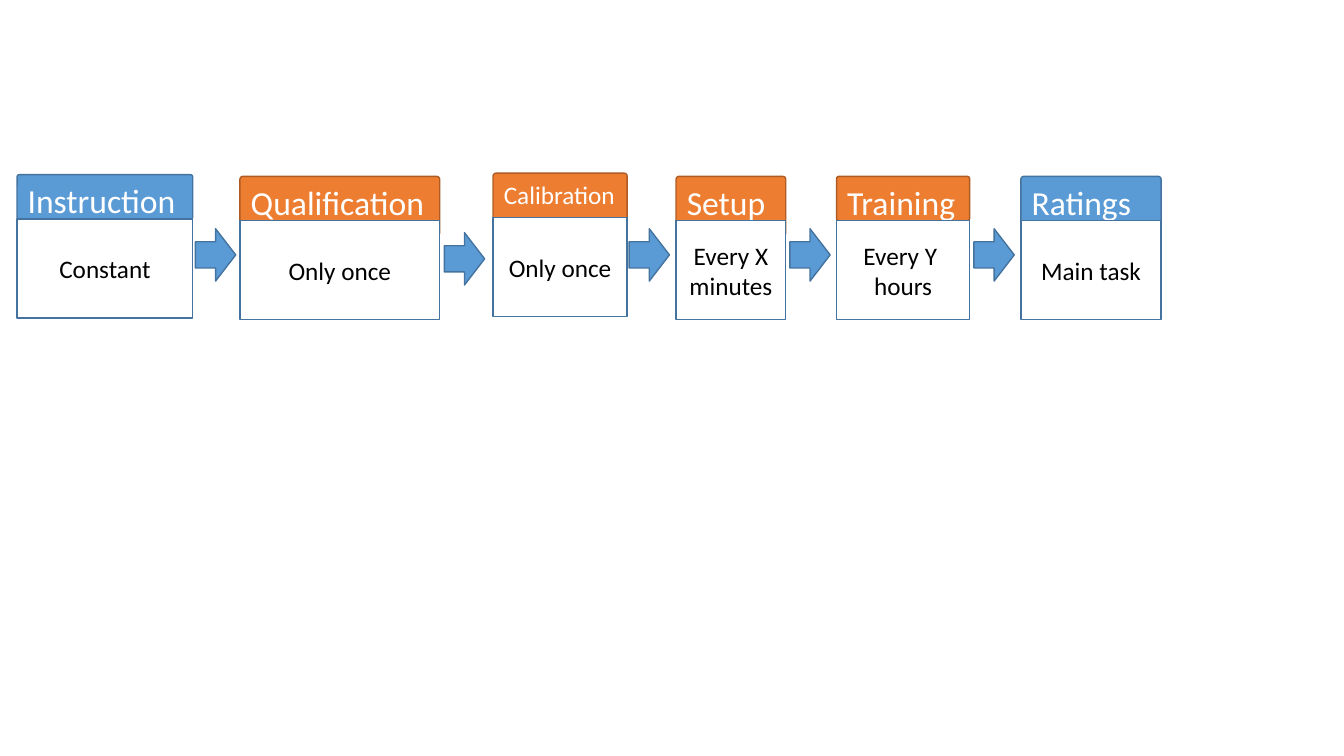
from dataclasses import dataclass

from pptx import Presentation
from pptx.dml.color import RGBColor
from pptx.enum import shapes, text
from pptx.util import Pt

BLUE, NAVY = "5B9BD5", "43739E"
ORANGE, RUST = "ED7D31", "AF5C24"
WHITE, BLACK = "FFFFFF", "000000"
SHORT, TALL = 31.7, 42.4
BODY = 70.6
ARROW = 28.8, 37.4


@dataclass
class Step:
    name: str
    note: list[str]
    left: float
    top: float
    width: float
    head: float = TALL
    fill: str = ORANGE
    line: str = RUST
    size: int = 24


@dataclass
class Arrow:
    left: float
    top: float = 163.4


def color(code: str) -> RGBColor:
    return RGBColor.from_string(code)


def draw(kind, left: float, top: float, width: float, height: float, fill: str, line: str):
    shape = slide.shapes.add_shape(kind, Pt(left), Pt(top), Pt(width), Pt(height))
    shape.shadow.inherit = False
    shape.fill.solid()
    shape.fill.fore_color.rgb = color(fill)
    shape.line.color.rgb = color(line)
    shape.line.width = Pt(1)
    return shape


def write(shape, lines: list[str], size: int, ink: str, align, anchor) -> None:
    frame = shape.text_frame
    frame.word_wrap = True
    frame.vertical_anchor = anchor
    for count, words in enumerate(lines):
        para = frame.add_paragraph() if count else frame.paragraphs[0]
        para.alignment = align
        run = para.add_run()
        run.text = words
        run.font.name = "Calibri"
        run.font.size = Pt(size)
        run.font.color.rgb = color(ink)


def add_step(step: Step) -> None:
    head = draw(shapes.MSO_SHAPE.ROUNDED_RECTANGLE, step.left, step.top,
                step.width, step.head, step.fill, step.line)
    head.adjustments[0] = 0.05
    write(head, [step.name], step.size, WHITE, text.PP_ALIGN.LEFT, text.MSO_ANCHOR.TOP)
    body = draw(shapes.MSO_SHAPE.RECTANGLE, step.left, step.top + SHORT,
                step.width, BODY, WHITE, NAVY)
    write(body, step.note, 18, BLACK, text.PP_ALIGN.CENTER, text.MSO_ANCHOR.MIDDLE)


def add_arrow(arrow: Arrow) -> None:
    draw(shapes.MSO_SHAPE.RIGHT_ARROW, arrow.left, arrow.top, *ARROW, BLUE, NAVY)


STEPS = [
    Step("Instruction", ["Constant"], 12.2, 124.8, 125.5, SHORT, BLUE, NAVY),
    Step("Qualification", ["Only once"], 171.4, 126, 142.7),
    Step("Calibration", ["Only once"], 352.2, 123.7, 95.8, size=18),
    Step("Setup", ["Every X minutes"], 482.9, 126, 78.4),
    Step("Training", ["Every Y ", "hours"], 597.6, 126, 95, SHORT),
    Step("Ratings", ["Main task"], 729.2, 126, 100.2, fill=BLUE, line=NAVY),
]
ARROWS = [Arrow(139.6), Arrow(317.4, 166.2), Arrow(449.4), Arrow(564.2), Arrow(695.7)]

deck = Presentation()
deck.slide_width, deck.slide_height = Pt(960), Pt(540)
slide = deck.slides.add_slide(deck.slide_layouts[6])
for step in STEPS:
    add_step(step)
for arrow in ARROWS:
    add_arrow(arrow)
deck.save("out.pptx")
